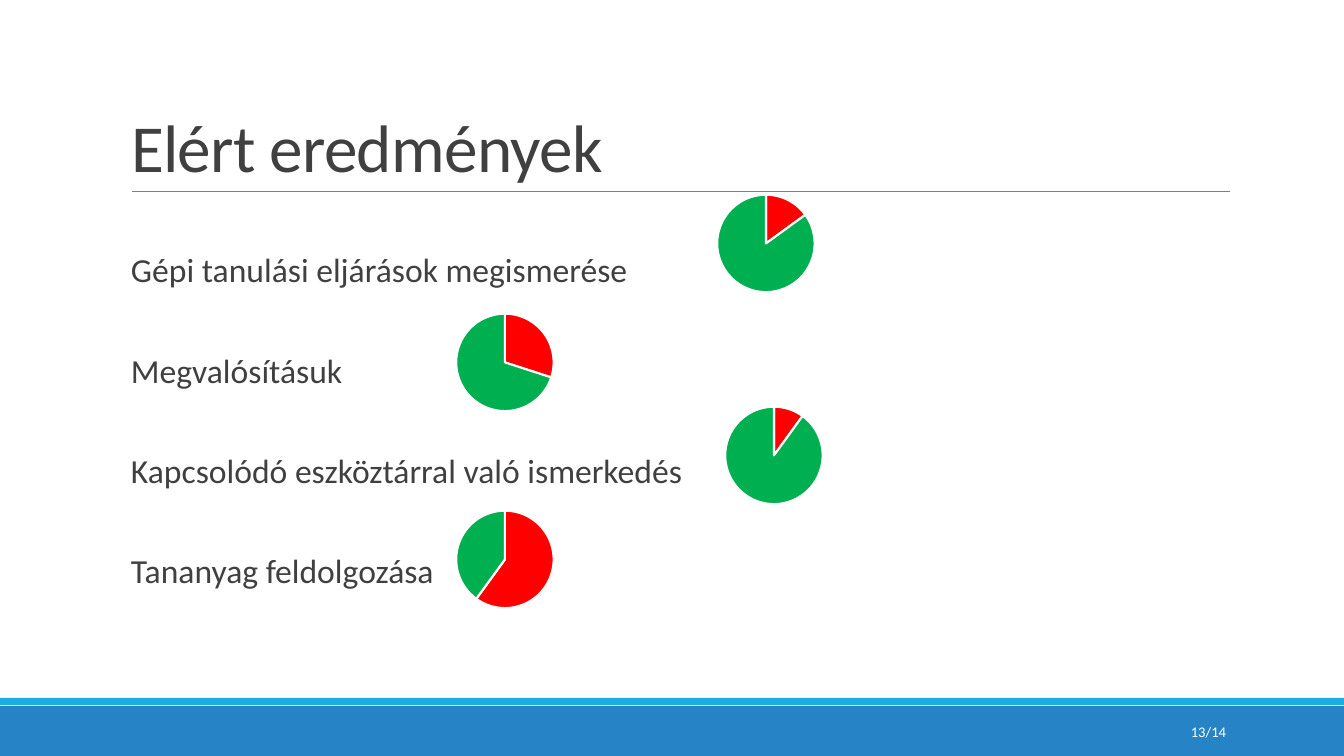
from dataclasses import dataclass

from lxml.etree import SubElement
from pptx import Presentation
from pptx.chart.data import CategoryChartData
from pptx.dml.color import RGBColor
from pptx.enum.chart import XL_CHART_TYPE
from pptx.enum.shapes import MSO_CONNECTOR, MSO_SHAPE
from pptx.enum.text import MSO_ANCHOR, MSO_AUTO_SIZE, PP_ALIGN
from pptx.oxml import parse_xml
from pptx.oxml.ns import nsdecls, qn
from pptx.util import Emu, Pt

PX_PER_INCH = 100.8


@dataclass(frozen=True)
class Theme:
    font: str = "Calibri"
    text: str = "404040"
    white: str = "FFFFFF"
    rule: str = "808080"
    band: str = "2683C6"
    stripe: str = "1CADE4"
    missing: str = "FF0000"
    done: str = "00B050"
    title_size: float = 48
    body_size: float = 24
    number_size: float = 10.5
    chart_size: float = 10


THEME = Theme()

# Topic, share missing, share done, left and top of its pie
RESULTS = [
    ("Gépi tanulási eljárások megismerése", 15, 85, 701, 180),
    ("Megvalósításuk", 30, 70, 440, 299),
    ("Kapcsolódó eszköztárral való ismerkedés", 10, 90, 709, 392),
    ("Tananyag feldolgozása", 60, 40, 440, 496),
]
PIE_WIDTH, PIE_HEIGHT, PIE_DIAMETER = 130, 127, 98


def px(length):
    return Emu(round(length * 914400 / PX_PER_INCH))


def color(value):
    return RGBColor.from_string(value)


def add_span(para, text, size, fill):
    span = para.add_run()
    span.text = text
    span.font.name = THEME.font
    span.font.size = Pt(size)
    span.font.color.rgb = color(fill)
    return span


def add_bar(page, top, height, fill):
    bar = page.shapes.add_shape(
        MSO_SHAPE.RECTANGLE, 0, px(top), px(1344), px(height))
    bar.shadow.inherit = False
    bar.fill.solid()
    bar.fill.fore_color.rgb = color(fill)
    bar.line.fill.background()


def add_rule(page, left, right, top):
    rule = page.shapes.add_connector(
        MSO_CONNECTOR.STRAIGHT, px(left), px(top), px(right), px(top))
    rule.line.color.rgb = color(THEME.rule)
    rule.line.width = Pt(0.5)
    SubElement(rule._element.spPr, qn("a:effectLst"))


def add_text_box(page, left, top, width, height):
    box = page.shapes.add_textbox(px(left), px(top), px(width), px(height))
    box.text_frame.word_wrap = True
    return box.text_frame


def set_title(page, text):
    title = page.shapes.title
    title.left, title.top = px(121), px(31)
    title.width, title.height = px(1109), px(160)
    frame = title.text_frame
    frame.auto_size = MSO_AUTO_SIZE.NONE
    frame.vertical_anchor = MSO_ANCHOR.BOTTOM
    para = frame.paragraphs[0]
    para.alignment = PP_ALIGN.LEFT
    para.line_spacing = 0.85
    span = add_span(para, text, THEME.title_size, THEME.text)
    span.font._element.set("spc", "-50")


def add_topics(page, topics):
    frame = add_text_box(page, 121, 204, 1109, 444)
    frame.margin_left, frame.margin_right = px(10), 0
    for index, topic in enumerate(topics):
        para = frame.add_paragraph() if index else frame.paragraphs[0]
        para.line_spacing = 2.0
        para.space_before, para.space_after = Pt(12), Pt(2)
        add_span(para, topic, THEME.body_size, THEME.text)


def fix_plot_size(chart):
    """Centre the pie in its frame at a fixed diameter."""
    width = round(PIE_DIAMETER / PIE_WIDTH, 2)
    height = round(PIE_DIAMETER / PIE_HEIGHT, 2)
    sizes = {"x": (1 - width) / 2, "y": (1 - height) / 2,
             "w": width, "h": height}
    values = "".join(f'<c:{key} val="{size:.3f}"/>'
                     for key, size in sizes.items())
    layout = parse_xml(
        f'<c:layout {nsdecls("c")}><c:manualLayout>'
        '<c:layoutTarget val="inner"/><c:xMode val="edge"/>'
        f'<c:yMode val="edge"/>{values}</c:manualLayout></c:layout>')
    plot_area = chart._chartSpace.chart.plotArea
    for old_layout in plot_area.findall(qn("c:layout")):
        plot_area.remove(old_layout)
    plot_area.insert(0, layout)


def add_pie(page, missing, done, left, top):
    shares = CategoryChartData()
    shares.categories = ["1", "2"]
    shares.add_series("Series 1", (missing, done))
    chart = page.shapes.add_chart(
        XL_CHART_TYPE.PIE, px(left), px(top),
        px(PIE_WIDTH), px(PIE_HEIGHT), shares).chart
    chart.has_legend = False
    chart.has_title = False
    chart.font.name = THEME.font
    chart.font.size = Pt(THEME.chart_size)
    plot = chart.plots[0]
    plot.vary_by_categories = True
    for index, fill in enumerate((THEME.missing, THEME.done)):
        slice_format = plot.series[0].points[index].format
        slice_format.fill.solid()
        slice_format.fill.fore_color.rgb = color(fill)
        slice_format.line.color.rgb = color(THEME.white)
        slice_format.line.width = Pt(1.5)
    fix_plot_size(chart)


def add_page_number(page, text):
    frame = add_text_box(page, 1092, 712, 144, 40)
    frame.vertical_anchor = MSO_ANCHOR.MIDDLE
    para = frame.paragraphs[0]
    para.alignment = PP_ALIGN.RIGHT
    add_span(para, text, THEME.number_size, THEME.white)


def main():
    deck = Presentation()
    deck.slide_width, deck.slide_height = px(1344), px(756)
    page = deck.slides.add_slide(deck.slide_layouts[5])
    add_bar(page, 706, 50, THEME.band)
    add_bar(page, 698, 7, THEME.stripe)
    add_rule(page, 132, 1230, 191)
    set_title(page, "Elért eredmények")
    add_topics(page, [result[0] for result in RESULTS])
    for _, missing, done, left, top in RESULTS:
        add_pie(page, missing, done, left, top)
    add_page_number(page, "13/14")
    deck.save("out.pptx")


if __name__ == "__main__":
    main()
